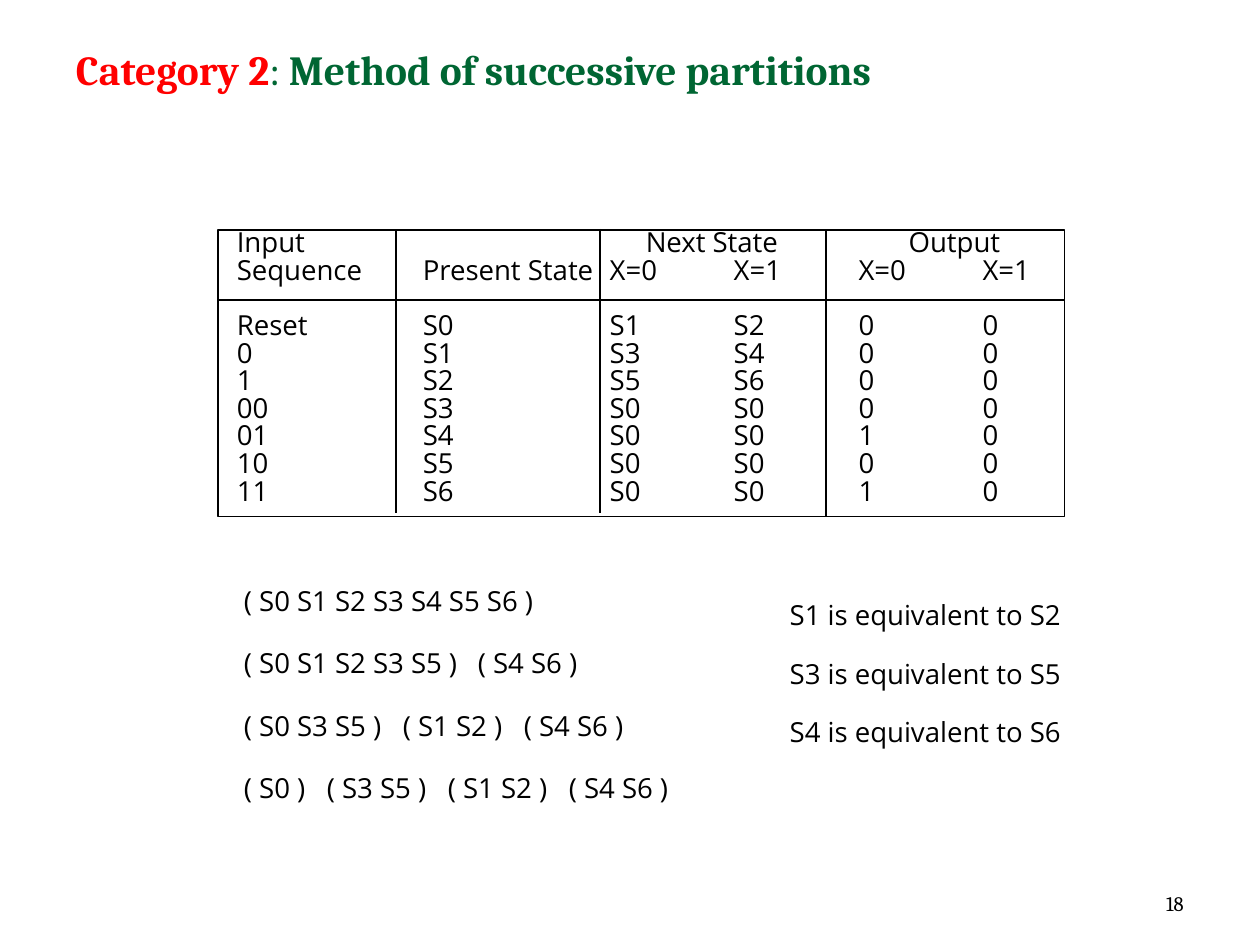
from lxml import etree
from pptx import Presentation
from pptx import util as u
from pptx.dml.color import RGBColor
from pptx.enum import shapes, text
from pptx.oxml.ns import qn

EMU_PER_PIXEL = 914400 / 124.3
BLACK = RGBColor(0, 0, 0)
RED = RGBColor(0xFF, 0, 0)
GREEN = RGBColor(0, 0x66, 0x33)
SERIF, SANS = "Cambria", "Open Sans"
TOP, BOTTOM = text.MSO_ANCHOR.TOP, text.MSO_ANCHOR.BOTTOM


def px(pixels):
    """Turn pixels into EMU."""
    return u.Emu(round(pixels * EMU_PER_PIXEL))


def write(paragraph, content, font=SANS, size=16, color=BLACK, bold=False,
          spacing=None, before=0, align=None, tabs=()):
    """Add a formatted run and set the format of its paragraph."""
    if spacing:
        paragraph.line_spacing = u.Pt(spacing)
    if before:
        paragraph.space_before = u.Pt(before)
    if align is not None:
        paragraph.alignment = align
    if tabs:
        stops = etree.SubElement(paragraph._p.get_or_add_pPr(), qn("a:tabLst"))
        for stop in tabs:
            etree.SubElement(stops, qn("a:tab"), pos=str(px(stop)), algn="l")
    run = paragraph.add_run()
    run.text = content
    run.font.name, run.font.size = font, u.Pt(size)
    run.font.bold, run.font.color.rgb = bold, color


class Sheet:
    """Holds the line style and the current slide."""

    def __init__(self, slide, line_color=BLACK, line_width=1):
        self.slide = slide
        self.line_color, self.line_width = line_color, line_width

    def text_box(self, box, margins, anchor=TOP):
        """Add a wrapping text box and return its frame."""
        frame = self.slide.shapes.add_textbox(*map(px, box)).text_frame
        frame.word_wrap, frame.vertical_anchor = True, anchor
        frame.margin_left = frame.margin_right = px(margins[0])
        frame.margin_top = frame.margin_bottom = px(margins[1])
        return frame

    def lines(self, box, rows, **style):
        """Add a text box with a paragraph per (parts, tab stops, space before)."""
        frame = self.text_box(box, (3, 4))
        for index, (parts, stops, before) in enumerate(rows):
            paragraph = frame.add_paragraph() if index else frame.paragraphs[0]
            write(paragraph, "\t".join(parts), tabs=stops, before=before, **style)

    def stroke(self, line):
        """Give a line the common colour and width."""
        line.color.rgb, line.width = self.line_color, u.Pt(self.line_width)

    def rule(self, *ends):
        """Add a straight line from x1, y1 to x2, y2."""
        rule = self.slide.shapes.add_connector(
            shapes.MSO_CONNECTOR.STRAIGHT, *map(px, ends))
        self.stroke(rule.line)
        etree.SubElement(rule._element.spPr, qn("a:effectLst"))

    def frame(self, *box):
        """Add an unfilled rectangle."""
        frame = self.slide.shapes.add_shape(
            shapes.MSO_SHAPE.RECTANGLE, *map(px, box))
        frame.shadow.inherit = False
        frame.fill.background()
        self.stroke(frame.line)


def state_table(sheet):
    """Build the state transition listing with its rules."""
    heading_stops = [409, 672]
    column_stops = [186, 373, 497, 622, 746]
    states = [
        "Reset S0 S1 S2 0 0",
        "0 S1 S3 S4 0 0",
        "1 S2 S5 S6 0 0",
        "00 S3 S0 S0 0 0",
        "01 S4 S0 S0 1 0",
        "10 S5 S0 S0 0 0",
        "11 S6 S0 S0 1 0",
    ]
    rows = [
        (["Input", "Next State", "Output"], heading_stops, 0),
        (["Sequence", "Present State"] + ["X=0", "X=1"] * 2, column_stops, 0),
    ]
    for index, state in enumerate(states):
        rows.append((state.split(), column_stops, 0 if index else 16))
    sheet.lines((234, 227, 846, 293), rows, spacing=16)

    sheet.rule(219, 300, 1064, 300)
    for x, top, bottom in [(826, 230, 516), (600, 229, 513), (396, 230, 513)]:
        sheet.rule(x, top, x, bottom)
    sheet.frame(218, 230, 847, 287)


def main():
    """Build and save the slide."""
    deck = Presentation()
    deck.slide_width, deck.slide_height = u.Inches(10.14), u.Inches(7.6)
    sheet = Sheet(deck.slides.add_slide(deck.slide_layouts[6]))

    number = sheet.text_box((904, 860, 293, 63), (13, 7), anchor=BOTTOM)
    write(number.paragraphs[0], "18", font=SERIF, size=12,
          align=text.PP_ALIGN.RIGHT)

    partitions = [
        (["( S0 S1 S2 S3 S4 S5 S6 )"], [], 6),
        (["( S0 S1 S2 S3 S5 )", "( S4 S6 )"], [234], 6),
        (["( S0 S3 S5 )", "( S1 S2 )", "( S4 S6 )"], [159, 280], 6),
        (["( S0 )", "( S3 S5 )", "( S1 S2 )", "( S4 S6 )"], [83, 204, 325], 6),
    ]
    sheet.lines((241, 562, 761, 293), partitions, spacing=30)

    state_table(sheet)

    pairs = [("S1", "S2"), ("S3", "S5"), ("S4", "S6")]
    equivalences = [([f"{state} is equivalent to {twin}"], [], 18 if index else 0)
                    for index, (state, twin) in enumerate(pairs)]
    sheet.lines((787, 600, 332, 163), equivalences, spacing=16)

    title = sheet.text_box((63, 38, 1134, 157), (13, 6)).paragraphs[0]
    for content, color, bold in [("Category 2", RED, True), (": ", GREEN, False),
                                 ("Method of successive partitions", GREEN, True)]:
        write(title, content, font=SERIF, size=24, color=color, bold=bold)

    deck.save("out.pptx")


main()
